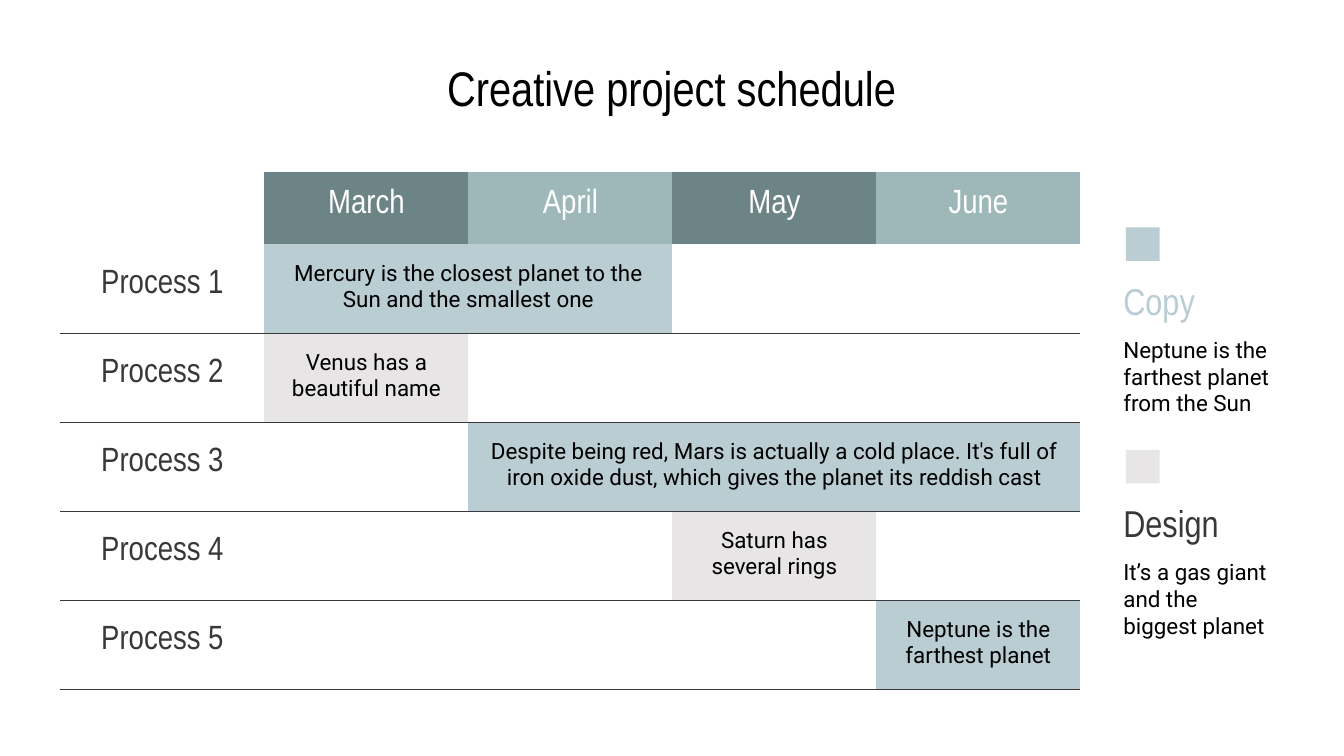
import pptx
import pptx.util
import pptx.dml.color
import pptx.enum.shapes
import pptx.enum.text
import pptx.oxml
import pptx.oxml.ns

Pt = pptx.util.Pt
ALIGN = pptx.enum.text.PP_ALIGN
MIDDLE = pptx.enum.text.MSO_ANCHOR.MIDDLE
COLORS = {
    "ink": "000000", "gray": "38383B", "white": "FFFFFF",
    "dark": "6C8486", "mid": "9EB8BA", "blue": "B9CDD3", "pale": "E8E5E6",
}
HEAD, BODY = "Arial Narrow", "Roboto"
MONTHS = ["March", "April", "May", "June"]
TASKS = [
    (1, 2, "blue", "Mercury is the closest planet to the Sun and the smallest one"),
    (1, 1, "pale", "Venus has a beautiful name"),
    (2, 3, "blue", "Despite being red, Mars is actually a cold place. It's full of "
                   "iron oxide dust, which gives the planet its reddish cast"),
    (3, 1, "pale", "Saturn has several rings"),
    (4, 1, "blue", "Neptune is the farthest planet"),
]
LEGEND = [
    (121.8, "blue", "Copy", "blue", "Neptune is the farthest planet from the Sun"),
    (241, "pale", "Design", "gray", "It’s a gas giant and the biggest planet"),
]


def rgb(name):
    return pptx.dml.color.RGBColor.from_string(COLORS[name])


def fill(obj, color):
    obj.fill.solid()
    obj.fill.fore_color.rgb = rgb(color)


def write(tf, text, size=12, font=BODY, color="ink", align=ALIGN.CENTER):
    p = tf.paragraphs[0]
    p.alignment = align
    r = p.add_run()
    r.text = text
    r.font.size = Pt(size)
    r.font.name = font
    r.font.color.rgb = rgb(color)


def set_frame(tf):
    tf.word_wrap = True
    tf.auto_size = pptx.enum.text.MSO_AUTO_SIZE.NONE
    tf.vertical_anchor = MIDDLE
    tf.margin_left = tf.margin_right = tf.margin_top = tf.margin_bottom = Pt(7.2)


def add_title(s, text):
    sp = s.shapes.title
    sp.left, sp.top, sp.width, sp.height = Pt(32.4), Pt(23.8), Pt(655.2), Pt(45.4)
    set_frame(sp.text_frame)
    write(sp.text_frame, text, size=26, font=HEAD)


def set_borders(cell, top, bottom):
    tcPr = cell._tc.get_or_add_tcPr()
    for i, (side, ruled) in enumerate(zip("LRTB", (False, False, top, bottom))):
        paint = (f'<a:solidFill><a:srgbClr val="{COLORS["gray"]}"/></a:solidFill>'
                 if ruled else "<a:noFill/>")
        ln = f'<a:ln{side} w="9525" {pptx.oxml.ns.nsdecls("a")}>{paint}</a:ln{side}>'
        tcPr.insert(i, pptx.oxml.parse_xml(ln))


def fill_cell(cell, text, top, bottom, back=None, **style):
    cell.vertical_anchor = MIDDLE
    cell.margin_left = cell.margin_right = Pt(7.2)
    cell.margin_top, cell.margin_bottom = Pt(top), Pt(bottom)
    if back:
        fill(cell, back)
    write(cell.text_frame, text, **style)


def add_schedule(s):
    rows, cols = len(TASKS) + 1, len(MONTHS) + 1
    frame = s.shapes.add_table(rows, cols, Pt(32.4), Pt(92.2), Pt(546.5), Pt(277))
    table = frame.table
    table.first_row = table.horz_banding = False
    for col in table.columns:
        col.width = Pt(109.3)
    for i, row in enumerate(table.rows):
        row.height = Pt(47.68 if i else 38.6)
        for cell in row.cells:
            cell.fill.background()
            set_borders(cell, i > 1, i > 0)
    for j, month in enumerate(MONTHS, 1):
        fill_cell(table.cell(0, j), month, 6.5, 10, back="dark" if j % 2 else "mid",
                  size=18, font=HEAD, color="white")
    for i, (start, span, back, text) in enumerate(TASKS, 1):
        fill_cell(table.cell(i, 0), f"Process {i}", 7.2, 10.8,
                  size=18, font=HEAD, color="gray")
        cell = table.cell(i, start)
        if span > 1:
            cell.merge(table.cell(i, start + span - 1))
        fill_cell(cell, text, 5, 7.2, back=back)


def add_text(shapes, top, height, text, **style):
    tf = shapes.add_textbox(Pt(594.7), Pt(top), Pt(92.9), Pt(height)).text_frame
    set_frame(tf)
    write(tf, text, align=ALIGN.LEFT, **style)


def add_legend_item(s, top, swatch, name, color, text):
    shapes = s.shapes.add_group_shape().shapes
    add_text(shapes, top + 25.8, 26.6, name, size=20, font=HEAD, color=color)
    add_text(shapes, top + 52.4, 54.7, text)
    sp = shapes.add_shape(pptx.enum.shapes.MSO_SHAPE.RECTANGLE,
                          Pt(603.2), Pt(top), Pt(18), Pt(18))
    sp.shadow.inherit = False
    fill(sp, swatch)
    sp.line.fill.background()


def main():
    prs = pptx.Presentation()
    prs.slide_width, prs.slide_height = Pt(720), Pt(405)
    s = prs.slides.add_slide(prs.slide_layouts[5])
    add_title(s, "Creative project schedule")
    add_schedule(s)
    for item in LEGEND:
        add_legend_item(s, *item)
    prs.save("out.pptx")


if __name__ == "__main__":
    main()
